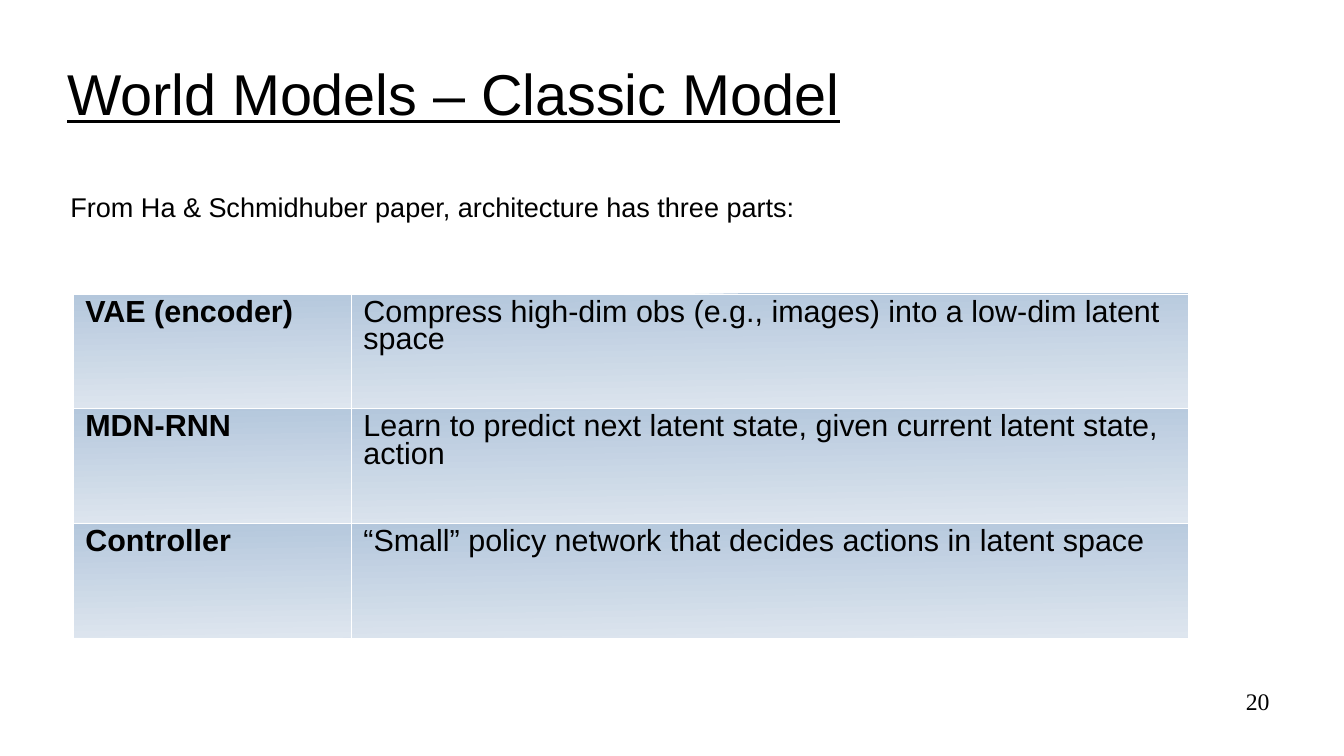
from pptx import Presentation
from pptx.dml.color import RGBColor
from pptx.enum.text import MSO_ANCHOR, MSO_AUTO_SIZE, PP_ALIGN
from pptx.oxml import parse_xml
from pptx.oxml.ns import nsdecls
from pptx.util import Inches, Pt

LEFT, RIGHT = PP_ALIGN.LEFT, PP_ALIGN.RIGHT
TOP, MIDDLE = MSO_ANCHOR.TOP, MSO_ANCHOR.MIDDLE
NO_FIT = MSO_AUTO_SIZE.NONE

TITLE = "World Models – Classic Model"
INTRO = "From Ha & Schmidhuber paper, architecture has three parts:"
PARTS = [
    ("VAE (encoder)", "Compress high-dim obs (e.g., images) into a low-dim latent space"),
    ("MDN-RNN", "Learn to predict next latent state, given current latent state, action"),
    ("Controller", "“Small” policy network that decides actions in latent space"),
]
PAGE = "20"

THEME = {
    "font": "Arial", "page_font": "Times New Roman",
    "text": "000000", "border": "FFFFFF", "gradient": ("B4C7DC", "DEE6EF"),
    "title": 34, "intro": 16, "cell": 18, "page": 14,
}
COLUMNS = (2.28, 6.86)
ROW_HEIGHT = 0.94
BORDER_EMU = 762


def write(tf, text, size, font=THEME["font"], bold=False, underline=False,
          align=LEFT, spacing=0.93, anchor=TOP, insets=(0.1, 0.05, 0.1, 0.05)):
    tf.word_wrap = True
    tf.vertical_anchor = anchor
    tf.margin_left, tf.margin_top, tf.margin_right, tf.margin_bottom = map(Inches, insets)
    p = tf.paragraphs[0]
    p.alignment = align
    p.line_spacing = spacing
    p.space_before = Pt(0)
    r = p.add_run()
    r.text = text
    r.font.name, r.font.size = font, Pt(size)
    r.font.bold, r.font.underline = bold, underline
    r.font.color.rgb = RGBColor.from_string(THEME["text"])


def add_text(s, box, text, size, **style):
    sp = s.shapes.add_textbox(*map(Inches, box))
    write(sp.text_frame, text, size, **style)


def style_cell(cell):
    tc_pr = cell._tc.get_or_add_tcPr()
    for side in ("lnL", "lnR", "lnT", "lnB"):
        tc_pr.append(parse_xml(
            f'<a:{side} {nsdecls("a")} w="{BORDER_EMU}"><a:solidFill>'
            f'<a:srgbClr val="{THEME["border"]}"/></a:solidFill></a:{side}>'))
    cell.fill.gradient()
    cell.fill.gradient_angle = 271
    for stop, position, color in zip(cell.fill.gradient_stops, (0, 1), THEME["gradient"]):
        stop.position = position
        stop.color.rgb = RGBColor.from_string(color)


def add_parts_table(s, left, top):
    size = (sum(COLUMNS), ROW_HEIGHT * len(PARTS))
    table = s.shapes.add_table(len(PARTS), len(COLUMNS),
                               *map(Inches, (left, top, *size))).table
    table.first_row = table.horz_banding = False
    for column, width in zip(table.columns, COLUMNS):
        column.width = Inches(width)
    for row, texts in zip(table.rows, PARTS):
        row.height = Inches(ROW_HEIGHT)
        for i, (cell, text) in enumerate(zip(row.cells, texts)):
            style_cell(cell)
            write(cell.text_frame, text, THEME["cell"], bold=i == 0, spacing=0.81)


def main():
    prs = Presentation()
    prs.slide_width, prs.slide_height = Inches(11.02), Inches(6.2)
    s = prs.slides.add_slide(prs.slide_layouts[5])

    title = s.shapes.title
    title.left, title.top, title.width, title.height = map(Inches, (0.55, 0.25, 9.92, 1.03))
    title.text_frame.auto_size = NO_FIT
    write(title.text_frame, TITLE, THEME["title"], underline=True,
          anchor=MIDDLE, insets=(0, 0.04, 0, 0))

    add_text(s, (0.48, 1.54, 10.1, 0.7), INTRO, THEME["intro"])
    add_parts_table(s, 0.6, 2.41)
    add_text(s, (7.9, 5.65, 2.51, 0.37), PAGE, THEME["page"],
             font=THEME["page_font"], align=RIGHT, insets=(0, 0, 0, 0))
    prs.save("out.pptx")


if __name__ == "__main__":
    main()
